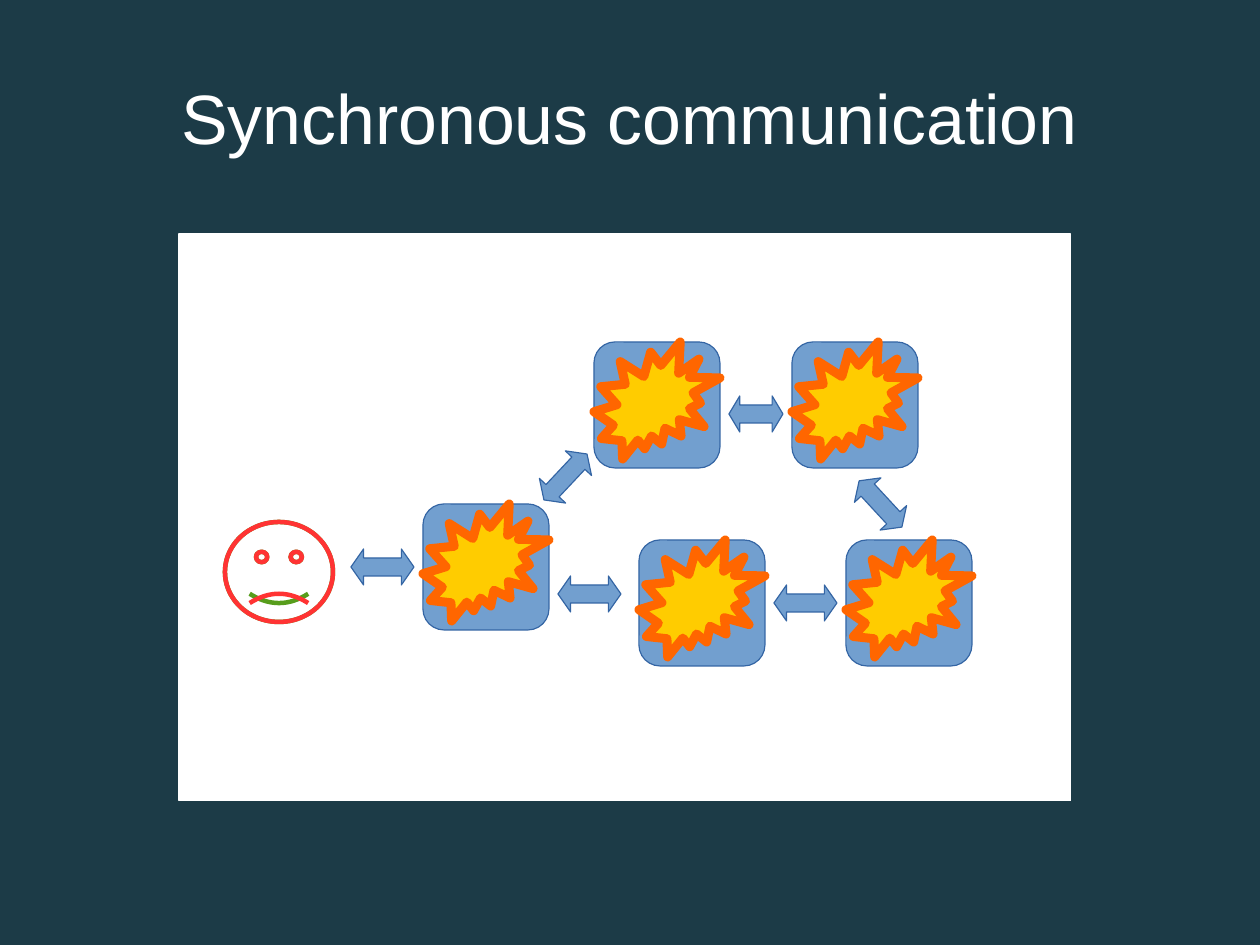
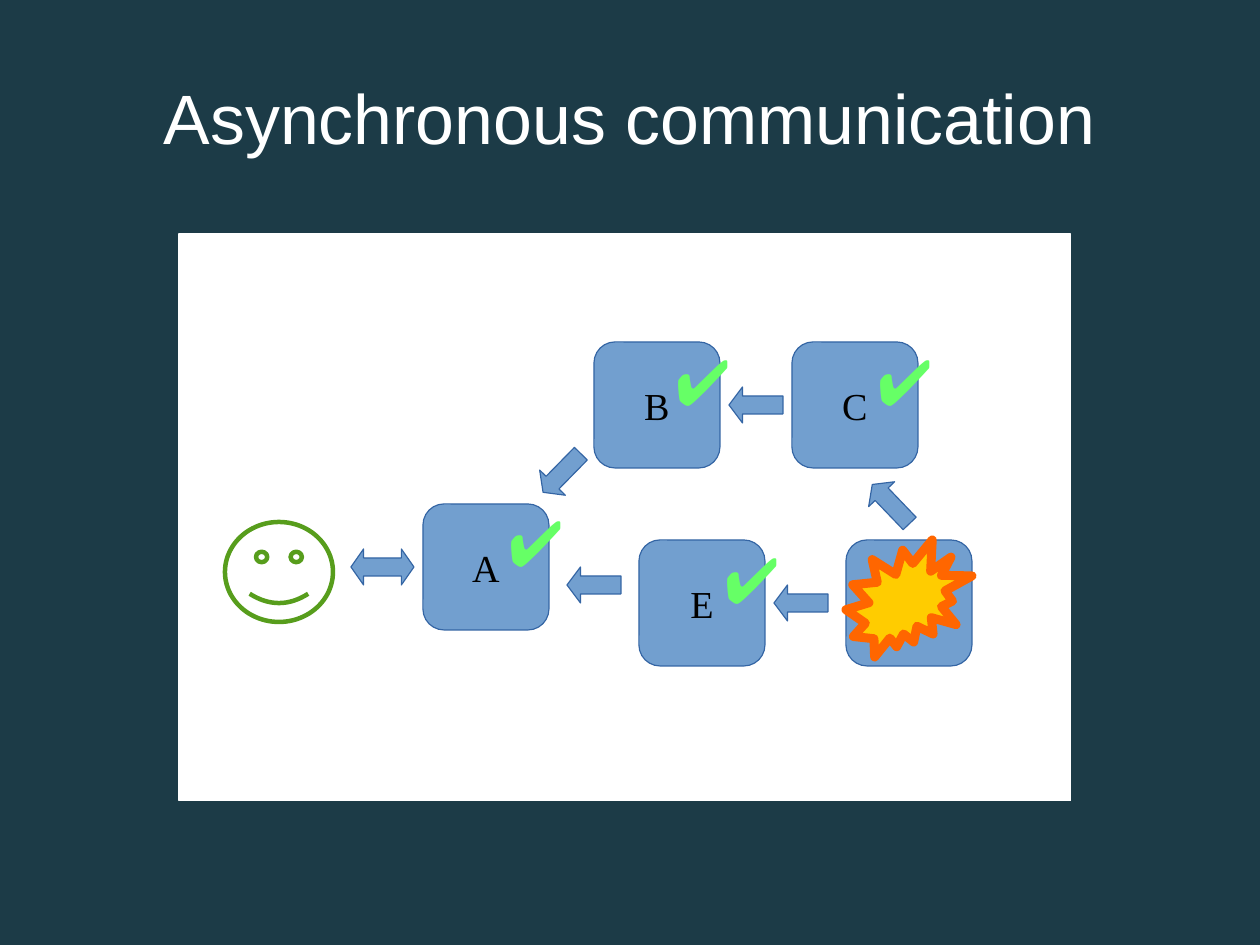
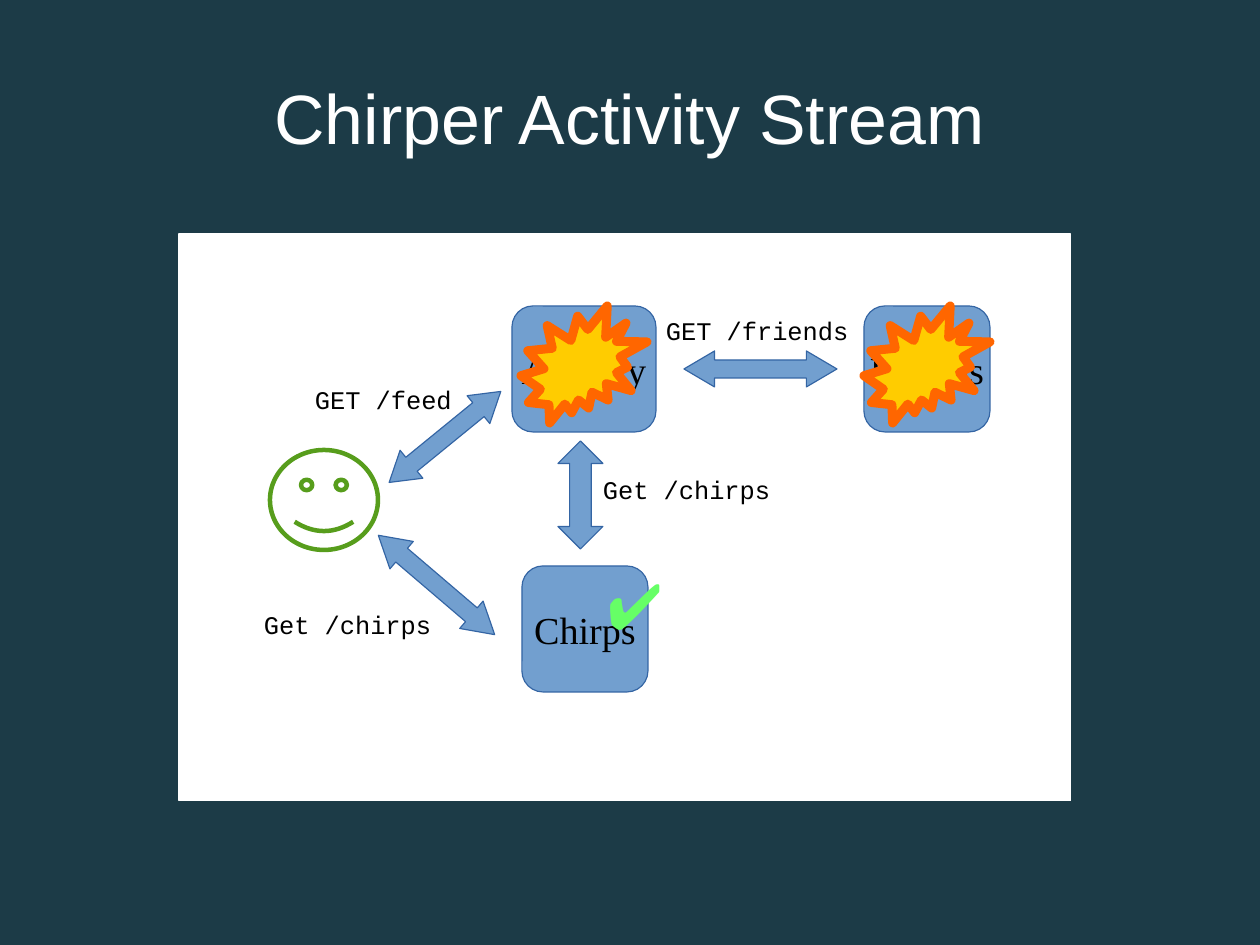
from pptx import Presentation
from pptx.dml.color import RGBColor
from pptx.enum.shapes import MSO_SHAPE
from pptx.enum.text import MSO_ANCHOR, PP_ALIGN
from pptx.util import Pt

PX = 8000  # EMU per px
RECT = MSO_SHAPE.RECTANGLE
BOX = MSO_SHAPE.FLOWCHART_ALTERNATE_PROCESS
FACE = MSO_SHAPE.SMILEY_FACE
BURST = MSO_SHAPE.EXPLOSION2
BOTH_WAYS = MSO_SHAPE.LEFT_RIGHT_ARROW
LEFTWARD = MSO_SHAPE.LEFT_ARROW
UP_DOWN = MSO_SHAPE.UP_DOWN_ARROW
TOP, MIDDLE = MSO_ANCHOR.TOP, MSO_ANCHOR.MIDDLE
LEFT, CENTER = PP_ALIGN.LEFT, PP_ALIGN.CENTER

BACKGROUND, WHITE, BLACK = "1C3B47", "FFFFFF", "000000"
BLUE, BLUE_EDGE = "729FCF", "3465A4"
YELLOW, ORANGE = "FFCC00", "FF6600"
GREEN, RED, CHECK_GREEN = "579D1C", "FF3333", "66FF66"

BOX_SIZE = 126
SMILE = 0.093  # negative values frown
HEAD_SHARE = {BOTH_WAYS: 0.2, UP_DOWN: 0.2, LEFTWARD: 0.25}  # head / arrow length

# Boxes: name, left, top, width
NETWORK = [
    ("A", 423, 504, BOX_SIZE),
    ("B", 594, 342, BOX_SIZE),
    ("E", 639, 540, BOX_SIZE),
    ("C", 792, 342, BOX_SIZE),
    ("D", 846, 540, BOX_SIZE),
]

# Faces: left, top, colour, smile. Arrows: kind, left, top, width, height, rotation
SLIDES = [
    {
        "title": "Synchronous communication",
        "faces": [(225, 522, GREEN, SMILE), (225, 522, RED, -SMILE)],
        "boxes": NETWORK,
        "failed": ["D", "C", "E", "B", "A"],
        "arrows": [
            (BOTH_WAYS, 351, 549, 63, 36, 0),
            (BOTH_WAYS, 534, 459, 63, 36, 313.2),
            (BOTH_WAYS, 729, 396, 54, 36, 0),
            (BOTH_WAYS, 849, 486, 63, 36, 47.3),
            (BOTH_WAYS, 558, 576, 63, 36, 0),
            (BOTH_WAYS, 774, 585, 63, 36, 0),
        ],
        "labels": [],
        "checks": [],
    },
    {
        "title": "Asynchronous communication",
        "faces": [(225, 522, GREEN, SMILE)],
        "boxes": NETWORK,
        "failed": ["D"],
        "arrows": [
            (BOTH_WAYS, 351, 549, 63, 36, 0),
            (LEFTWARD, 729, 387, 54, 36, 0),
            (LEFTWARD, 567, 567, 54, 36, 0),
            (LEFTWARD, 774, 585, 54, 36, 0),
            (LEFTWARD, 535, 455, 54, 36, 314.4),
            (LEFTWARD, 864, 486, 54, 36, 46.2),
        ],
        "labels": [],
        "checks": [(877, 342), (675, 342), (724, 540), (508, 503)],
    },
    {
        "title": "Chirper Activity Stream",
        "faces": [(270, 450, GREEN, SMILE)],
        "boxes": [
            ("Activity", 512, 306, 144),
            ("Friends", 864, 306, BOX_SIZE),
            ("Chirps", 522, 566, BOX_SIZE),
        ],
        "failed": ["Activity", "Friends"],
        "arrows": [
            (BOTH_WAYS, 373, 419, 144, 36, 320.8),
            (BOTH_WAYS, 684, 351, 153, 36, 0),
            (BOTH_WAYS, 360, 567, 153, 36, 40.5),
            (UP_DOWN, 558, 441, 45, 108, 0),
        ],
        "labels": [
            ("GET /feed", 315, 384),
            ("GET /friends", 666, 315),
            ("Get /chirps", 264, 609),
            ("Get /chirps", 603, 474),
        ],
        "checks": [(607, 566)],
    },
]

rgb = RGBColor.from_string


def add_shape(slide, kind, box, fill, line, width=0):
    """Draw a preset shape; box is (left, top, width, height) in px."""
    sp = slide.shapes.add_shape(kind, *(v * PX for v in box))
    sp.shadow.inherit = False
    if fill:
        sp.fill.solid()
        sp.fill.fore_color.rgb = rgb(fill)
    else:
        sp.fill.background()
    sp.line.color.rgb = rgb(line)
    sp.line.width = Pt(width)
    return sp


def set_text(sp, text, size, font, color, align=LEFT, anchor=TOP, wrap=True):
    tf = sp.text_frame
    tf.text = text
    tf.word_wrap = wrap
    tf.vertical_anchor = anchor
    tf.margin_left = tf.margin_top = tf.margin_right = tf.margin_bottom = 0
    p = tf.paragraphs[0]
    p.alignment = align
    f = p.runs[0].font
    f.size, f.name, f.color.rgb = Pt(size), font, rgb(color)


prs = Presentation()
prs.slide_width, prs.slide_height = 1260 * PX, 945 * PX
background = prs.slide_master.background.fill
background.solid()
background.fore_color.rgb = rgb(BACKGROUND)

for content in SLIDES:
    s = prs.slides.add_slide(prs.slide_layouts[6])
    title = s.shapes.add_textbox(63 * PX, 38 * PX, 1134 * PX, 158 * PX)
    set_text(title, content["title"], 44, "Arial", WHITE, CENTER, MIDDLE)
    add_shape(s, RECT, (179, 234, 892, 567), WHITE, WHITE)

    for left, top, color, smile in content["faces"]:
        sp = add_shape(s, FACE, (left, top, 108, 100), None, color, 2.83)
        sp.adjustments[0] = smile

    for name, left, top, width in content["boxes"]:
        sp = add_shape(s, BOX, (left, top, width, BOX_SIZE), BLUE, BLUE_EDGE)
        set_text(sp, name, 24, "Times New Roman", BLACK, CENTER, MIDDLE, False)

    for name, left, top, width in content["boxes"]:
        if name in content["failed"]:
            burst_left = left + (width - BOX_SIZE) // 2
            add_shape(s, BURST, (burst_left, top, BOX_SIZE, 117), YELLOW, ORANGE, 5.67)

    for kind, left, top, width, height, rotation in content["arrows"]:
        sp = add_shape(s, kind, (left, top, width, height), BLUE, BLUE_EDGE)
        sp.rotation = rotation
        sp.adjustments[0] = 0.5
        sp.adjustments[1] = HEAD_SHARE[kind] * max(width, height) / min(width, height)

    for text, left, top in content["labels"]:
        label = s.shapes.add_textbox(left * PX, top * PX, 190 * PX, 34 * PX)
        set_text(label, text, 16, "Courier New", BLACK)

    for left, top in content["checks"]:
        check = s.shapes.add_textbox(left * PX, top * PX, 50 * PX, 80 * PX)
        set_text(check, "✔", 40, "Arial", CHECK_GREEN)

prs.save("out.pptx")
